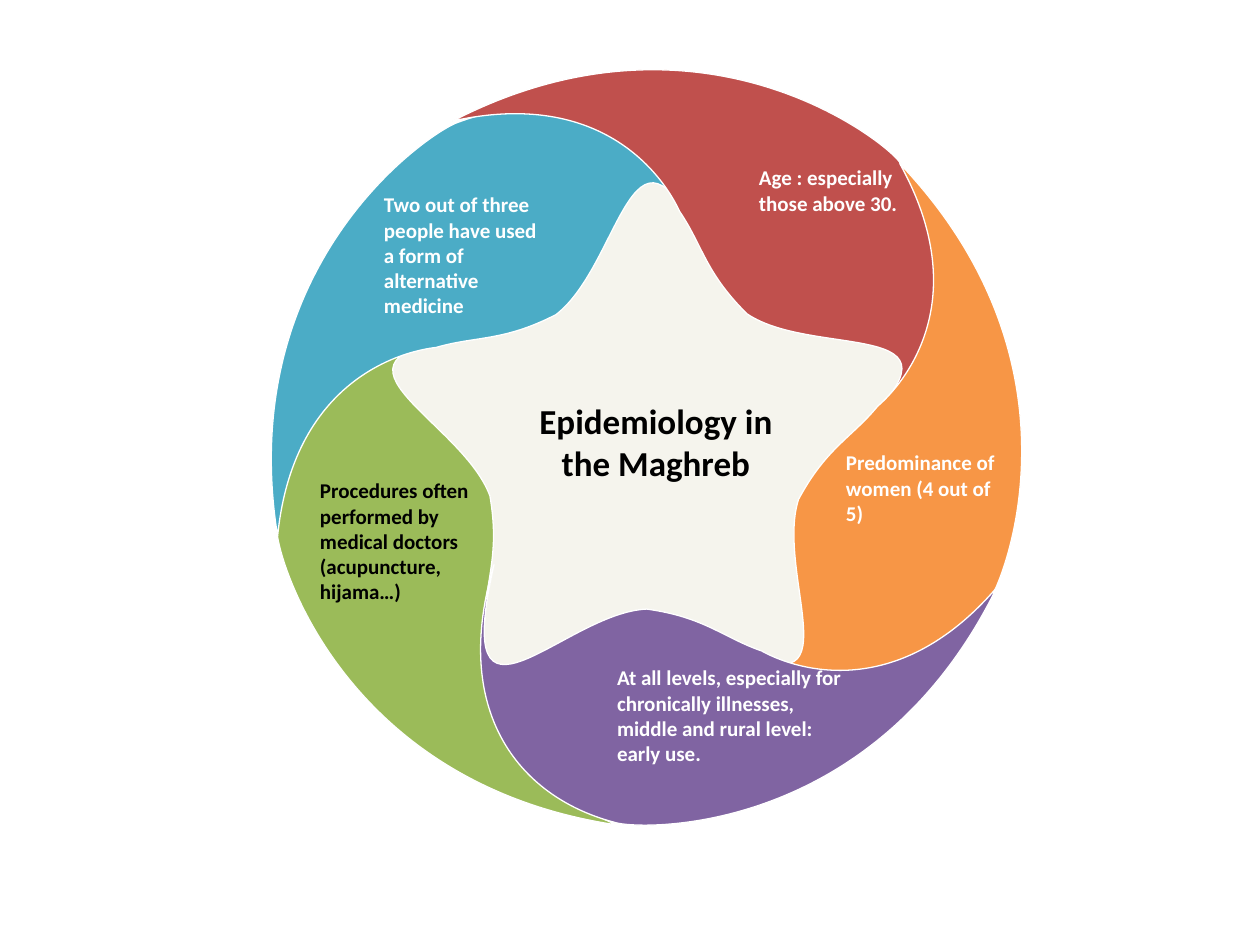
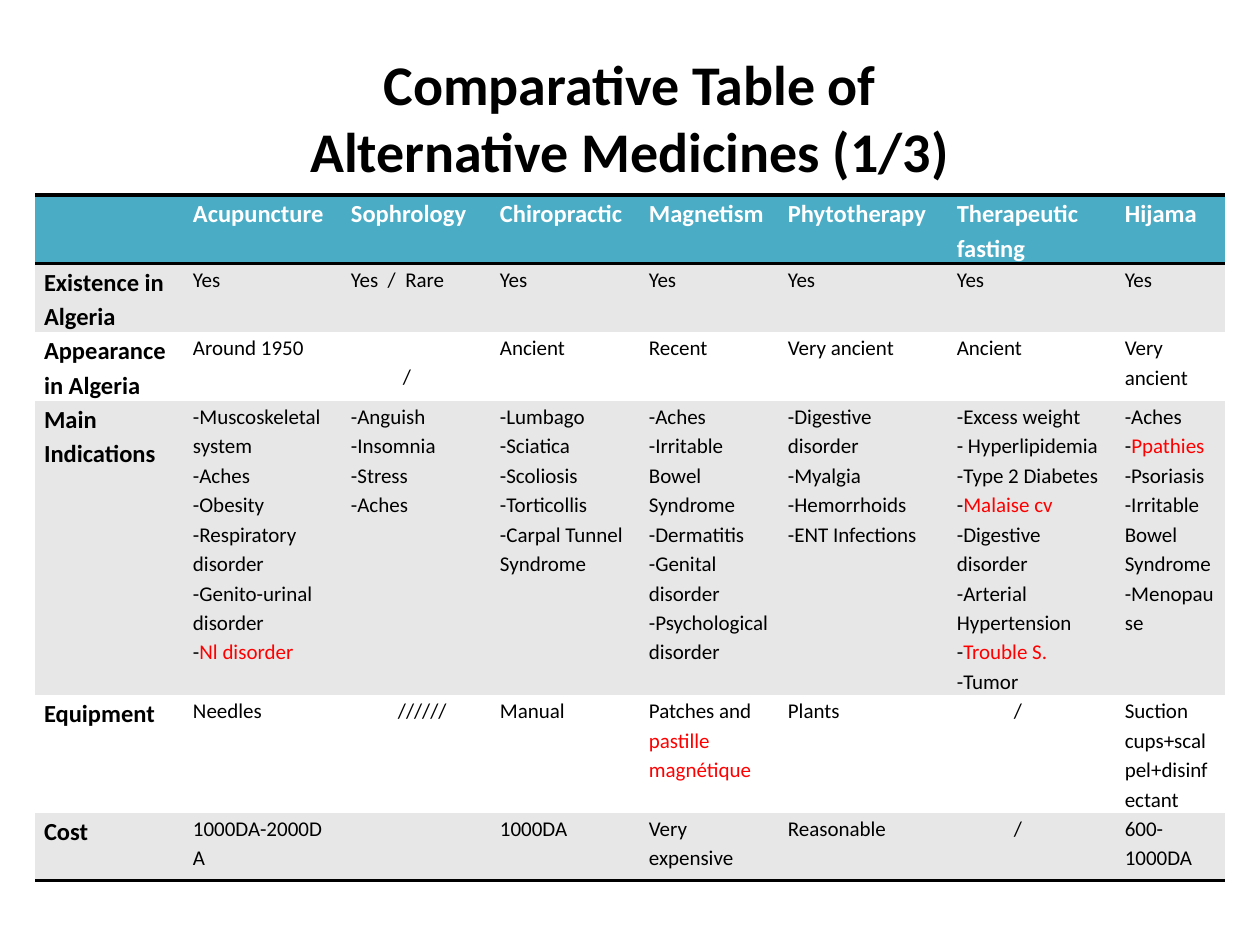
from lxml import etree
from pptx import Presentation
from pptx.dml.color import RGBColor
from pptx.enum.shapes import MSO_SHAPE
from pptx.enum.text import MSO_ANCHOR, MSO_AUTO_SIZE, PP_ALIGN
from pptx.oxml.ns import qn
from pptx.util import Pt

CENTER, LEFT = PP_ALIGN.CENTER, PP_ALIGN.LEFT
MIDDLE = MSO_ANCHOR.MIDDLE
OVAL = MSO_SHAPE.OVAL
NO_FIT, GROW = MSO_AUTO_SIZE.NONE, MSO_AUTO_SIZE.SHAPE_TO_FIT_TEXT

PX = 914400 / 126
TITLE_ONLY, BLANK = 5, 6
FONT = "Calibri"
NO_TABLE_STYLE = "{2D5ABB26-0587-4C30-8999-92F81FD0307C}"
COLORS = {
    "white": "FFFFFF", "black": "000000", "marked": "FF0000",
    "green": "9BBB59", "teal": "4BACC6", "red": "C0504D",
    "orange": "F79646", "purple": "8064A2",
    "star": "F5F4ED", "star_line": "4F81BD", "band": "E7E7E7",
}

# Slide 1: the petal outline as a start point and cubic curves inside its frame
STAR_DISC = (355, 164, 571, 571)
PETAL_SIZE = (341, 489)
PETAL_START = (210, 0)
PETAL_CURVES = [
    ((58, 3), (-4, 94), (1, 194)),
    ((0, 218), (64, 448), (341, 489)),
    ((198, 428), (202, 318), (209, 283)),
    ((210, 242), (224, 218), (214, 160)),
    ((185, 81), (13, 17), (210, 0)),
]
PETALS = [  # colour, frame, rotation
    ("green", (276, 336, 341, 489), 0),
    ("teal", (291, 52, 341, 494), 72.4),
    ("red", (563, -24, 340, 488), 144.3),
    ("orange", (714, 217, 341, 486), 218),
    ("purple", (543, 433, 341, 486), 287.7),
]
LABELS = [  # text, frame, size, colour, alignment
    ("Two out of three people have used a form of alternative medicine",
     (384, 192, 154, 127), 12, "white", LEFT),
    ("Age : especially those above 30.", (759, 165, 166, 50), 12, "white", LEFT),
    ("Predominance of women (4 out of 5)", (846, 450, 160, 77), 12, "white", LEFT),
    ("At all levels, especially for chronically illnesses, middle and rural level: early use.",
     (617, 665, 236, 102), 12, "white", LEFT),
    ("Procedures often performed by medical doctors (acupuncture, hijama…)",
     (320, 478, 166, 127), 12, "black", LEFT),
    ("Epidemiology in the Maghreb", (516, 400, 280, 84), 20, "black", CENTER),
]

# Slide 2: a bar in a cell line starts its marked part
TITLE = ("Comparative Table of", "Alternative Medicines (1/3)")
TITLE_FRAME = (63, 38, 1134, 158)
TABLE_ORIGIN = (35, 195)
COLUMN_WIDTHS = [149, 158, 149, 149, 139, 169, 168, 109]
ROW_HEIGHTS = [58, 68, 68, 271, 102, 68]
LEFT_MARGIN, RIGHT_MARGIN = 9, 10
CELL_OFFSETS = {(2, 2): (52, 29), (4, 2): (47, 0), (4, 6): (57, 0), (5, 6): (57, 0)}
ROWS = [
    ["", "Acupuncture", "Sophrology", "Chiropractic", "Magnetism", "Phytotherapy",
     "Therapeutic fasting", "Hijama"],
    ["Existence in Algeria", "Yes", "Yes  /  Rare", "Yes", "Yes", "Yes", "Yes", "Yes"],
    ["Appearance in Algeria", "Around 1950", "/", "Ancient", "Recent", "Very ancient",
     "Ancient", "Very ancient"],
    ["Main Indications",
     "-Muscoskeletal system\n-Aches\n-Obesity\n-Respiratory disorder\n"
     "-Genito-urinal disorder\n-|Nl disorder",
     "-Anguish\n-Insomnia\n-Stress\n-Aches",
     "-Lumbago\n-Sciatica\n-Scoliosis\n-Torticollis\n-Carpal Tunnel Syndrome",
     "-Aches\n-Irritable Bowel Syndrome\n-Dermatitis\n-Genital disorder\n"
     "-Psychological disorder",
     "-Digestive disorder\n-Myalgia\n-Hemorrhoids\n-ENT Infections",
     "-Excess weight\n- Hyperlipidemia\n-Type 2 Diabetes\n-|Malaise cv\n"
     "-Digestive disorder\n-Arterial Hypertension\n-|Trouble S.\n-Tumor",
     "-Aches\n-|Ppathies\n-Psoriasis\n-Irritable Bowel Syndrome\n-Menopause"],
    ["Equipment", "Needles", "//////", "Manual", "Patches and |pastille magnétique",
     "Plants", "/", "Suction cups+scalpel+disinfectant"],
    ["Cost", "1000DA-2000DA", "", "1000DA", "Very expensive", "Reasonable", "/",
     "600-1000DA"],
]
RULED_SIDES = {0: ("lnT", "lnB"), 1: ("lnT",), len(ROWS) - 1: ("lnB",)}


def emu(pixels):
    return round(pixels * PX)


def rgb(name):
    return RGBColor.from_string(COLORS[name])


def place(shape, frame):
    shape.left, shape.top, shape.width, shape.height = map(emu, frame)


def paint(shape, fill, line, line_width):
    shape.shadow.inherit = False
    shape.fill.solid()
    shape.fill.fore_color.rgb = rgb(fill)
    shape.line.color.rgb = rgb(line)
    shape.line.width = Pt(line_width)


def add_run(paragraph, text, size, color, bold=True):
    run = paragraph.add_run()
    run.text = text
    run.font.name = FONT
    run.font.size = Pt(size)
    run.font.bold = bold
    run.font.color.rgb = rgb(color)


def bend_outline(petal):
    """Turn the straight segments of the petal into its cubic curves."""
    outline = next(petal._element.iter(qn("a:path")))
    for name, length in zip("wh", PETAL_SIZE):
        outline.set(name, str(emu(length)))
    start = next(outline.iter(qn("a:pt")))
    for name, value in zip("xy", PETAL_START):
        start.set(name, str(emu(value)))
    for segment, curve in zip(outline.findall(qn("a:lnTo")), PETAL_CURVES):
        bend = etree.Element(qn("a:cubicBezTo"))
        for x, y in curve:
            etree.SubElement(bend, qn("a:pt"), x=str(emu(x)), y=str(emu(y)))
        outline.replace(segment, bend)


def add_petal(slide, color, frame, rotation):
    builder = slide.shapes.build_freeform(*map(emu, PETAL_START))
    ends = [tuple(map(emu, curve[-1])) for curve in PETAL_CURVES]
    builder.add_line_segments(ends, close=True)
    petal = builder.convert_to_shape()
    bend_outline(petal)
    place(petal, frame)
    petal.rotation = rotation
    paint(petal, color, "white", 0.75)


def add_label(slide, text, frame, size, color, alignment):
    text_frame = slide.shapes.add_textbox(*map(emu, frame)).text_frame
    text_frame.word_wrap = True
    text_frame.auto_size = GROW
    text_frame.margin_left = text_frame.margin_right = 0
    text_frame.margin_top = text_frame.margin_bottom = 0
    paragraph = text_frame.paragraphs[0]
    paragraph.alignment = alignment
    add_run(paragraph, text, size, color)


def add_title(slide):
    title = slide.shapes.title
    place(title, TITLE_FRAME)
    title.text_frame.auto_size = NO_FIT
    title.text_frame.vertical_anchor = MIDDLE
    paragraph = title.text_frame.paragraphs[0]
    paragraph.alignment = CENTER
    for index, line in enumerate(TITLE):
        if index:
            paragraph.add_line_break()
        add_run(paragraph, line, 32, "black")


def add_borders(cell, ruled):
    """Set every side, in schema order ahead of the fill; only ruled ones show."""
    properties = cell._tc.get_or_add_tcPr()
    for index, side in enumerate(("lnL", "lnR", "lnT", "lnB")):
        line = etree.Element(qn("a:" + side))
        if side in ruled:
            line.set("w", str(Pt(2)))
            fill = etree.SubElement(line, qn("a:solidFill"))
            etree.SubElement(fill, qn("a:srgbClr"), val=COLORS["black"])
        else:
            etree.SubElement(line, qn("a:noFill"))
        properties.insert(index, line)


def fill_cell(cell, text, row, column):
    indent, drop = CELL_OFFSETS.get((row, column), (0, 0))
    cell.margin_left, cell.margin_right = emu(LEFT_MARGIN + indent), emu(RIGHT_MARGIN)
    cell.margin_top, cell.margin_bottom = emu(drop), 0
    cell.fill.solid()
    cell.fill.fore_color.rgb = rgb("teal" if row == 0 else "band" if row % 2 else "white")
    heading = row == 0 or column == 0
    size, color = 14 if heading else 12, "white" if row == 0 else "black"
    for index, line in enumerate(text.split("\n") if text else []):
        text_frame = cell.text_frame
        paragraph = text_frame.add_paragraph() if index else text_frame.paragraphs[0]
        paragraph.line_spacing = 1.15
        plain, _, marked = line.partition("|")
        add_run(paragraph, plain, size, color, heading)
        if marked:
            add_run(paragraph, marked, size, "marked", heading)


def add_comparison(slide):
    frame = slide.shapes.add_table(
        len(ROWS), len(COLUMN_WIDTHS), *map(emu, TABLE_ORIGIN),
        emu(sum(COLUMN_WIDTHS)), emu(sum(ROW_HEIGHTS)))
    table = frame.table
    table.first_row = table.horz_banding = False
    table._tbl.tblPr.find(qn("a:tableStyleId")).text = NO_TABLE_STYLE
    for column, width in zip(table.columns, COLUMN_WIDTHS):
        column.width = emu(width)
    for row, height in zip(table.rows, ROW_HEIGHTS):
        row.height = emu(height)
    for row, texts in enumerate(ROWS):
        for column, text in enumerate(texts):
            cell = table.cell(row, column)
            fill_cell(cell, text, row, column)
            add_borders(cell, RULED_SIDES.get(row, ()))


def build_epidemiology(slide):
    disc = slide.shapes.add_shape(OVAL, *map(emu, STAR_DISC))
    paint(disc, "star", "star_line", 0.5)
    for petal in PETALS:
        add_petal(slide, *petal)
    for label in LABELS:
        add_label(slide, *label)


def main():
    presentation = Presentation()
    presentation.slide_width, presentation.slide_height = emu(1260), emu(945)
    layouts = presentation.slide_layouts
    build_epidemiology(presentation.slides.add_slide(layouts[BLANK]))
    table_slide = presentation.slides.add_slide(layouts[TITLE_ONLY])
    add_title(table_slide)
    add_comparison(table_slide)
    presentation.save("out.pptx")


if __name__ == "__main__":
    main()
